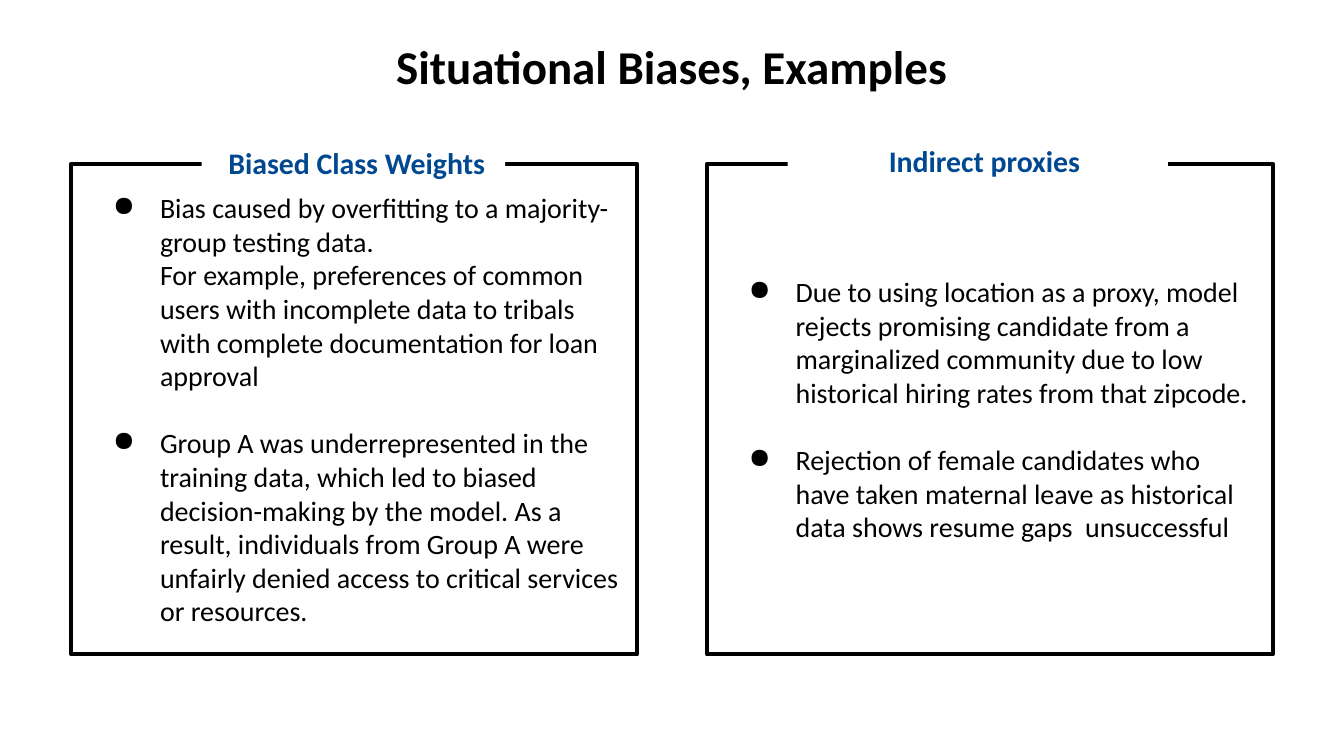
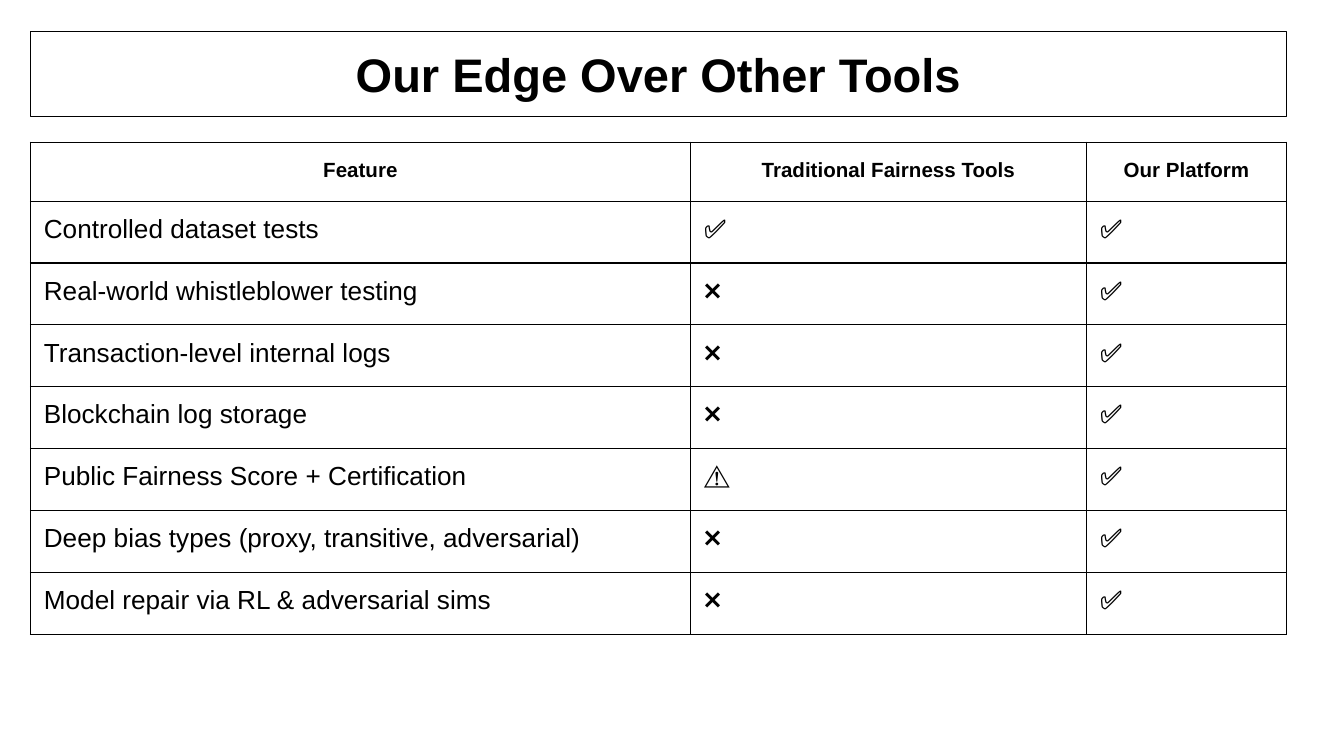
from lxml.etree import SubElement
from pptx import Presentation
from pptx.dml.color import RGBColor
from pptx.enum.shapes import MSO_SHAPE
from pptx.enum.text import MSO_ANCHOR, PP_ALIGN
from pptx.oxml.ns import qn
from pptx.util import Pt

BLACK = RGBColor(0x00, 0x00, 0x00)
WHITE = RGBColor(0xFF, 0xFF, 0xFF)
BLUE = RGBColor(0x00, 0x48, 0x90)
CENTER, LEFT = PP_ALIGN.CENTER, PP_ALIGN.LEFT

# Content
BIAS_TITLE = "Situational Biases, Examples"
# Each panel: left edge, heading, heading box, heading alignment, points;
# a point is a bullet followed by any unbulleted continuation
PANELS = [
    (38.2, "Biased Class Weights", (108, 74.2, 162.7, 26.6), LEFT, [
        ["Bias caused by overfitting to a majority-group testing data.",
         "For example, preferences of common users with incomplete data to "
         "tribals with complete documentation for loan approval"],
        ["Group A was underrepresented in the training data, which led to "
         "biased decision-making by the model. As a result, individuals from "
         "Group A were unfairly denied access to critical services or resources."],
    ]),
    (378.7, "Indirect proxies", (421.9, 72.7, 203.8, 26.6), CENTER, [
        ["Due to using location as a proxy, model rejects promising candidate "
         "from a marginalized community due to low historical hiring rates "
         "from that zipcode."],
        ["Rejection of female candidates who have taken maternal leave as "
         "historical data shows resume gaps  unsuccessful"],
    ]),
]
PANEL_TOP, PANEL_W, PANEL_H = 87.8, 303.1, 262.8

EDGE_TITLE = "Our Edge Over Other Tools"
HEADER = ("Feature", "Traditional Fairness Tools", "Our Platform")
FEATURES = [
    ("Controlled dataset tests", "✅", "✅"),
    ("Real-world whistleblower testing", "❌", "✅"),
    ("Transaction-level internal logs", "❌", "✅"),
    ("Blockchain log storage", "❌", "✅"),
    ("Public Fairness Score + Certification", "⚠️", "✅"),
    ("Deep bias types (proxy, transitive, adversarial)", "❌", "✅"),
    ("Model repair via RL & adversarial sims", "❌", "✅"),
]
TABLE_LEFT, TABLE_TOP = 16.3, 76.2
COL_WIDTHS = (353.6, 212.2, 107.2)
HEADER_H, ROW_H = 31.6, 33.15


def write(p, text, font="Calibri", size=15, color=BLACK, bold=False,
          align=LEFT, spacing=None, before=0):
    p.alignment = align
    p.space_before, p.space_after = Pt(before), Pt(0)
    if spacing:
        p.line_spacing = spacing
    r = p.add_run()
    r.text = text
    r.font.name, r.font.size, r.font.bold = font, Pt(size), bold
    r.font.color.rgb = color


def set_insets(box, left, top, right, bottom):
    box.margin_left, box.margin_top = Pt(left), Pt(top)
    box.margin_right, box.margin_bottom = Pt(right), Pt(bottom)


def add_rect(s, x, y, w, h, fill=None, line=None, anchor=MSO_ANCHOR.TOP,
             insets=(7.2, 7.2, 7.2, 7.2)):
    sp = s.shapes.add_shape(MSO_SHAPE.RECTANGLE, Pt(x), Pt(y), Pt(w), Pt(h))
    sp.shadow.inherit = False
    if fill is None:
        sp.fill.background()
    else:
        sp.fill.solid()
        sp.fill.fore_color.rgb = fill
    if line is None:
        sp.line.fill.background()
    else:
        sp.line.color.rgb = BLACK
        sp.line.width = Pt(line)
    tf = sp.text_frame
    tf.word_wrap = True
    tf.vertical_anchor = anchor
    set_insets(tf, *insets)
    return tf


def add_title(s, text, box, font, line=None):
    tf = add_rect(s, *box, line=line)
    write(tf.paragraphs[0], text, font=font, size=25.2, bold=True, align=CENTER)


def set_indent(p, bullet):
    pPr = p._p.get_or_add_pPr()
    pPr.set("marL", str(Pt(36)))
    pPr.set("indent", str(-Pt(25.2) if bullet else 0))
    if bullet:
        clr = SubElement(SubElement(pPr, qn("a:buClr")), qn("a:srgbClr"))
        clr.set("val", str(BLACK))
        SubElement(pPr, qn("a:buChar")).set("char", "●")
    else:
        SubElement(pPr, qn("a:buNone"))


def set_borders(cell, width=0.75):
    tcPr = cell._tc.get_or_add_tcPr()
    for side in ("lnL", "lnR", "lnT", "lnB"):
        ln = SubElement(tcPr, qn(f"a:{side}"), w=str(Pt(width)))
        fill = SubElement(ln, qn("a:solidFill"))
        SubElement(fill, qn("a:srgbClr"), val=str(BLACK))


def build_biases(s):
    add_title(s, BIAS_TITLE, (199.4, 13, 321.1, 45.4), "Calibri")
    # Framed panels
    for left, _, _, _, points in PANELS:
        tf = add_rect(s, left, PANEL_TOP, PANEL_W, PANEL_H, fill=WHITE, line=2.25,
                      anchor=MSO_ANCHOR.MIDDLE, insets=(11.5, 3.6, 7.2, 3.6))
        p = tf.paragraphs[0]
        for i, point in enumerate(points):
            for j, text in enumerate(point):
                if i or j:
                    p = tf.add_paragraph()
                write(p, text, before=18 if i and not j else 0)
                set_indent(p, bullet=j == 0)
    # Headings that interrupt the frames
    for _, heading, box, align, _ in PANELS:
        tf = add_rect(s, *box, fill=WHITE, insets=(14.4, 3.6, 7.2, 3.6))
        write(tf.paragraphs[0], heading, size=16, color=BLUE, bold=True, align=align)


def build_edge(s):
    # Comparison table
    rows = [HEADER] + FEATURES
    table = s.shapes.add_table(
        len(rows), len(HEADER), Pt(TABLE_LEFT), Pt(TABLE_TOP), Pt(sum(COL_WIDTHS)),
        Pt(HEADER_H + ROW_H * len(FEATURES))).table
    table.first_row = table.horz_banding = False
    for col, width in zip(table.columns, COL_WIDTHS):
        col.width = Pt(width)
    for i, row in enumerate(rows):
        table.rows[i].height = Pt(ROW_H if i else HEADER_H)
        style = (dict(size=14) if i else
                 dict(size=11, bold=True, align=CENTER, spacing=1.15))
        for j, text in enumerate(row):
            cell = table.cell(i, j)
            set_insets(cell, 7.2, 7.2, 7.2, 7.2)
            set_borders(cell)
            cell.fill.background()
            write(cell.text_frame.paragraphs[0], text, font="Arial", **style)
    # Title across the table width
    add_title(s, EDGE_TITLE, (TABLE_LEFT, 17, sum(COL_WIDTHS), 45.4), "Arial", line=0.75)


def main():
    prs = Presentation()
    prs.slide_width, prs.slide_height = Pt(720), Pt(405)
    for build in (build_biases, build_edge):
        s = prs.slides.add_slide(prs.slide_layouts[6])
        s.background.fill.solid()
        s.background.fill.fore_color.rgb = WHITE
        build(s)
    prs.save("out.pptx")


if __name__ == "__main__":
    main()
